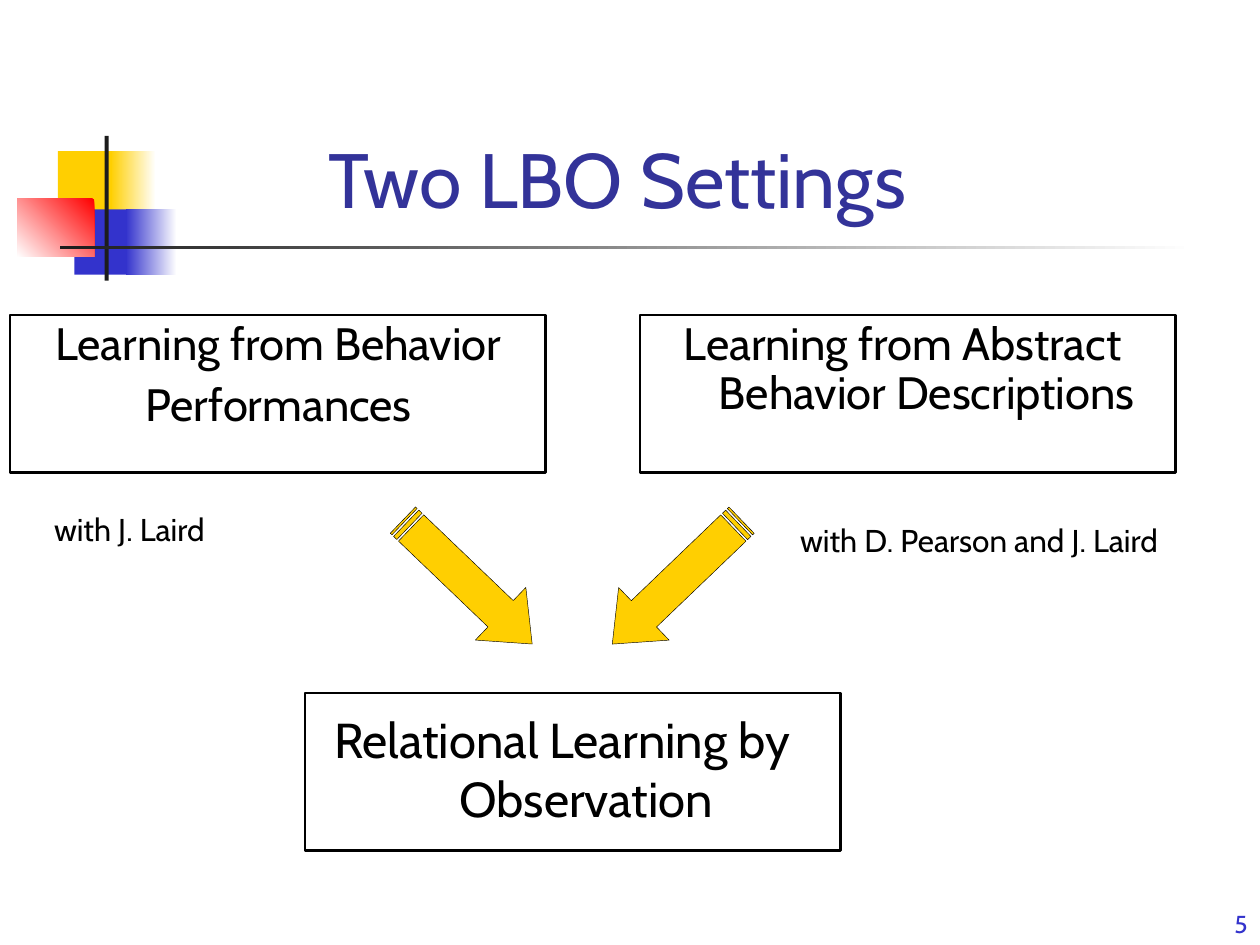
from dataclasses import dataclass

from lxml import etree
from pptx import Presentation
from pptx import util as u
from pptx.dml.color import RGBColor
from pptx.enum import shapes, text
from pptx.oxml.ns import qn


@dataclass(frozen=True)
class Theme:
    font: str = "Cabin"
    white: str = "FFFFFF"
    ink: str = "000000"
    dark: str = "1C1C1C"
    yellow: str = "FFCF01"
    blue: str = "3333CC"
    red: str = "FF0000"
    heading: str = "333399"
    title_size: float = 44
    result_size: float = 28
    setting_size: float = 25.9
    credit_size: float = 18
    number_size: float = 14


def write(shape, *lines, size, color, font, align=text.PP_ALIGN.LEFT,
          anchor=text.MSO_ANCHOR.TOP, hanging=0, spacing=1.0, gap=0):
    """Fill a shape with one paragraph per line; gap separates paragraphs."""
    frame = shape.text_frame
    frame.word_wrap = True
    frame.auto_size = text.MSO_AUTO_SIZE.NONE
    frame.vertical_anchor = anchor
    for i, line in enumerate(lines):
        para = frame.paragraphs[0] if i == 0 else frame.add_paragraph()
        props = para._p.get_or_add_pPr()
        props.set("marL", str(u.Cm(hanging)))
        props.set("indent", str(-u.Cm(hanging)))
        etree.SubElement(props, qn("a:buNone"))
        para.alignment = align
        para.line_spacing = spacing
        para.space_before = u.Pt(gap if i else 0)
        run = para.add_run()
        run.text = line
        run.font.name = font
        run.font.size = u.Pt(size)
        run.font.color.rgb = RGBColor.from_string(color)


class SlideBuilder:
    def __init__(self, slide, theme):
        self.slide = slide
        self.theme = theme

    def shape(self, kind, place, fill, line=None, line_width=0):
        item = self.slide.shapes.add_shape(kind, *map(u.Cm, place))
        item.shadow.inherit = False
        item.fill.solid()
        item.fill.fore_color.rgb = RGBColor.from_string(fill)
        if line:
            item.line.color.rgb = RGBColor.from_string(line)
            item.line.width = u.Pt(line_width)
        else:
            item.line.fill.background()
        return item

    def block(self, place, fill):
        return self.shape(shapes.MSO_SHAPE.RECTANGLE, place, fill)

    def fade(self, place, start, end, angle=180):
        """Rectangle with a two-colour gradient, angle counter-clockwise."""
        fill = self.block(place, start).fill
        fill.gradient()
        fill.gradient_angle = angle
        for stop, color in zip(fill.gradient_stops, (start, end)):
            stop.color.rgb = RGBColor.from_string(color)

    def frame(self, left, top):
        self.shape(shapes.MSO_SHAPE.RECTANGLE, (left, top, 10.8, 3.18),
                   self.theme.white, self.theme.ink, 1.5)

    def arrow(self, left, angle):
        item = self.shape(shapes.MSO_SHAPE.STRIPED_RIGHT_ARROW,
                          (left, 11, 3.61, 1.47),
                          self.theme.yellow, self.theme.ink, 0.25)
        item.adjustments[0] = 0.5
        item.adjustments[1] = 0.6
        item.rotation = angle

    def placeholder(self, index, place, *lines, **style):
        """Place a template placeholder in front of what is drawn so far."""
        item = self.slide.placeholders[index]
        item.left, item.top, item.width, item.height = map(u.Cm, place)
        self.slide.shapes._spTree.append(item._element)
        write(item, *lines, font=self.theme.font, **style)

    def label(self, place, *lines, **style):
        item = self.slide.shapes.add_textbox(*map(u.Cm, place))
        write(item, *lines, font=self.theme.font, **style)


def main():
    theme = Theme()
    deck = Presentation()
    deck.slide_width, deck.slide_height = u.Cm(25.4), u.Cm(19.05)
    page = SlideBuilder(deck.slides.add_slide(deck.slide_layouts[1]), theme)
    center = text.PP_ALIGN.CENTER
    bottom = text.MSO_ANCHOR.BOTTOM

    # Corner ornament and title rule
    page.block((1.17, 3.05, 1.22, 1.32), theme.yellow)
    page.fade((2.23, 3.05, 0.91, 1.32), theme.white, theme.yellow)
    page.block((1.5, 4.22, 1.17, 1.32), theme.blue)
    page.fade((2.54, 4.22, 1.02, 1.32), theme.white, theme.blue)
    page.fade((0.35, 4.01, 1.55, 1.17), theme.red, theme.white, angle=225)
    page.block((2.11, 2.74, 0.08, 2.92), theme.dark)
    page.fade((1.22, 4.95, 22.86, 0.08), theme.white, theme.dark)

    # Frames: the result below, the two settings above
    for left, top in ((6.15, 13.97), (12.9, 6.35), (0.2, 6.35)):
        page.frame(left, top)

    # Frame texts
    page.placeholder(1, (6.15, 14.17, 10.36, 3.28),
                     "Relational Learning by Observation",
                     size=theme.result_size, color=theme.ink,
                     align=center, hanging=0.97)
    setting = dict(size=theme.setting_size, color=theme.ink, align=center,
                   hanging=0.97, spacing=0.9, gap=7)
    page.label((0, 6.35, 11.23, 3.28),
               "Learning from Behavior", "Performances", **setting)
    page.label((12.7, 6.35, 11, 3.28),
               "Learning from Abstract Behavior Descriptions", **setting)

    # Title
    page.placeholder(0, (1.63, 0.58, 21.64, 4.06), "Two LBO Settings",
                     size=theme.title_size, color=theme.heading,
                     align=center, anchor=bottom)

    # Mirrored arrows from the settings to the result
    tilt = 43.8
    page.arrow(7.62, tilt)
    page.arrow(11.84, 180 - tilt)

    # Credits
    credit = dict(size=theme.credit_size, color=theme.ink)
    page.label((0.84, 10.16, 4.45, 1.02), "with J. Laird", **credit)
    page.label((15.88, 10.37, 8.69, 1.02),
               "with D. Pearson and J. Laird", **credit)

    # Slide number
    page.label((20.12, 17.78, 5.28, 1.27), "5", size=theme.number_size,
               color=theme.blue, align=text.PP_ALIGN.RIGHT, anchor=bottom)

    deck.save("out.pptx")


if __name__ == "__main__":
    main()
